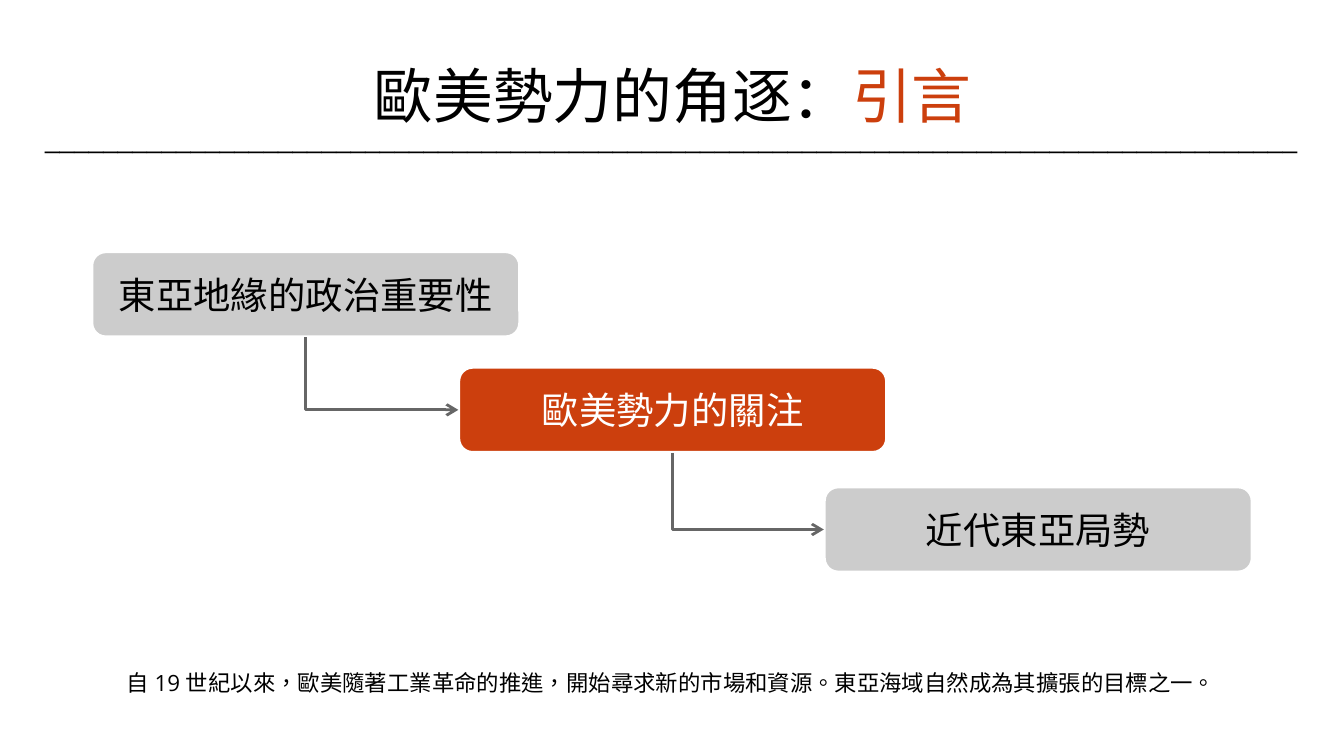
from dataclasses import dataclass

from lxml import etree
from pptx import Presentation
from pptx import util as u
from pptx.dml.color import RGBColor
from pptx.enum import shapes, text
from pptx.oxml.ns import qn


@dataclass(frozen=True)
class Theme:
    ink: RGBColor = RGBColor(0x00, 0x00, 0x00)
    paper: RGBColor = RGBColor(0xFF, 0xFF, 0xFF)
    accent: RGBColor = RGBColor(0xCC, 0x3F, 0x0D)
    muted: RGBColor = RGBColor(0xCC, 0xCC, 0xCC)
    arrow: RGBColor = RGBColor(0x66, 0x66, 0x66)
    title_size: int = 32
    step_size: int = 20
    rule_size: int = 14
    note_size: int = 12
    title_font: str = "Arial"
    step_font: str = "DejaVu Sans Mono"
    note_font: str = "Open Sans"


theme = Theme()


def write(frame, runs, font, size, wrap, anchor):
    """Fill a frame with one centred paragraph of (wording, colour) runs."""
    frame.word_wrap = wrap
    frame.auto_size = text.MSO_AUTO_SIZE.NONE
    frame.vertical_anchor = anchor
    paragraph = frame.paragraphs[0]
    paragraph.alignment = text.PP_ALIGN.CENTER
    for wording, colour in runs:
        run = paragraph.add_run()
        run.text = wording
        run.font.size = u.Pt(size)
        run.font.color.rgb = colour
        run.font.name = font
        etree.SubElement(run.font._element, qn("a:ea"), typeface=font)


# A 16:9 slide, 10 inches wide
deck = Presentation()
deck.slide_width = u.Inches(10)
deck.slide_height = u.Inches(10) * 9 // 16
slide = deck.slides.add_slide(deck.slide_layouts[5])
top, middle = text.MSO_ANCHOR.TOP, text.MSO_ANCHOR.MIDDLE

# Title
title = slide.shapes.title
title.left, title.top = u.Inches(2.66), u.Inches(0.39)
title.width, title.height = u.Inches(4.69), u.Inches(0.64)
write(title.text_frame, [("歐美勢力的角逐：", theme.ink), ("引言", theme.accent)],
      theme.title_font, theme.title_size, False, top)

# Rule under the title, set as a row of underscores
rule = slide.shapes.add_textbox(0, u.Inches(0.86), u.Inches(10), u.Inches(0.34))
write(rule.text_frame, [("_" * 86, theme.ink)],
      theme.title_font, theme.rule_size, True, top)

# Staircase of three steps
step_width, step_height = 3.19, 0.64
steps = [
    ("東亞地緣的政治重要性", 0.68, 1.87, theme.muted, theme.ink),
    ("歐美勢力的關注", 3.41, 2.73, theme.accent, theme.paper),
    ("近代東亞局勢", 6.13, 3.62, theme.muted, theme.ink),
]
for wording, x, y, fill, ink in steps:
    step = slide.shapes.add_shape(
        shapes.MSO_SHAPE.ROUNDED_RECTANGLE,
        u.Inches(x), u.Inches(y), u.Inches(step_width), u.Inches(step_height))
    step.shadow.inherit = False
    step.fill.solid()
    step.fill.fore_color.rgb = fill
    step.line.color.rgb = theme.paper
    step.line.width = u.Pt(2)
    write(step.text_frame, [(wording, ink)],
          theme.step_font, theme.step_size, True, middle)

# Bent arrows: from the bottom of each step to the left side of the next
for (_, x, y, *_), (_, next_x, next_y, *_) in zip(steps, steps[1:]):
    start_x, start_y = x + step_width / 2, y + step_height
    run_x, drop = next_x - start_x, next_y + step_height / 2 - start_y
    centre_x, centre_y = start_x + run_x / 2, start_y + drop / 2
    # A quarter turn swaps width and height; right-to-left ends give the flip
    arrow = slide.shapes.add_connector(
        shapes.MSO_CONNECTOR.ELBOW,
        u.Inches(centre_x + drop / 2), u.Inches(centre_y - run_x / 2),
        u.Inches(centre_x - drop / 2), u.Inches(centre_y + run_x / 2))
    arrow.line.color.rgb = theme.arrow
    arrow.line.width = u.Pt(1.5)
    properties = arrow._element.spPr
    properties.find(qn("a:xfrm")).set("rot", str(270 * 60000))
    properties.find(qn("a:prstGeom")).set("prst", "bentConnector2")
    etree.SubElement(properties.find(qn("a:ln")), qn("a:tailEnd"), type="arrow")
    etree.SubElement(properties, qn("a:effectLst"))

# Closing note, with the centred punctuation of traditional Chinese
note = slide.shapes.add_textbox(
    u.Inches(0.8), u.Inches(4.93), u.Inches(8.39), u.Inches(0.3))
write(note.text_frame,
      [("自 19 世紀以來，歐美隨著工業革命的推進，開始尋求新的市場和資源。"
        "東亞海域自然成為其擴張的目標之一。", theme.ink)],
      theme.note_font, theme.note_size, False, top)
for run in note.text_frame.paragraphs[0].runs:
    run.font._element.set("lang", "zh-TW")
    run.font._element.set("altLang", "zh-TW")

deck.save("out.pptx")
